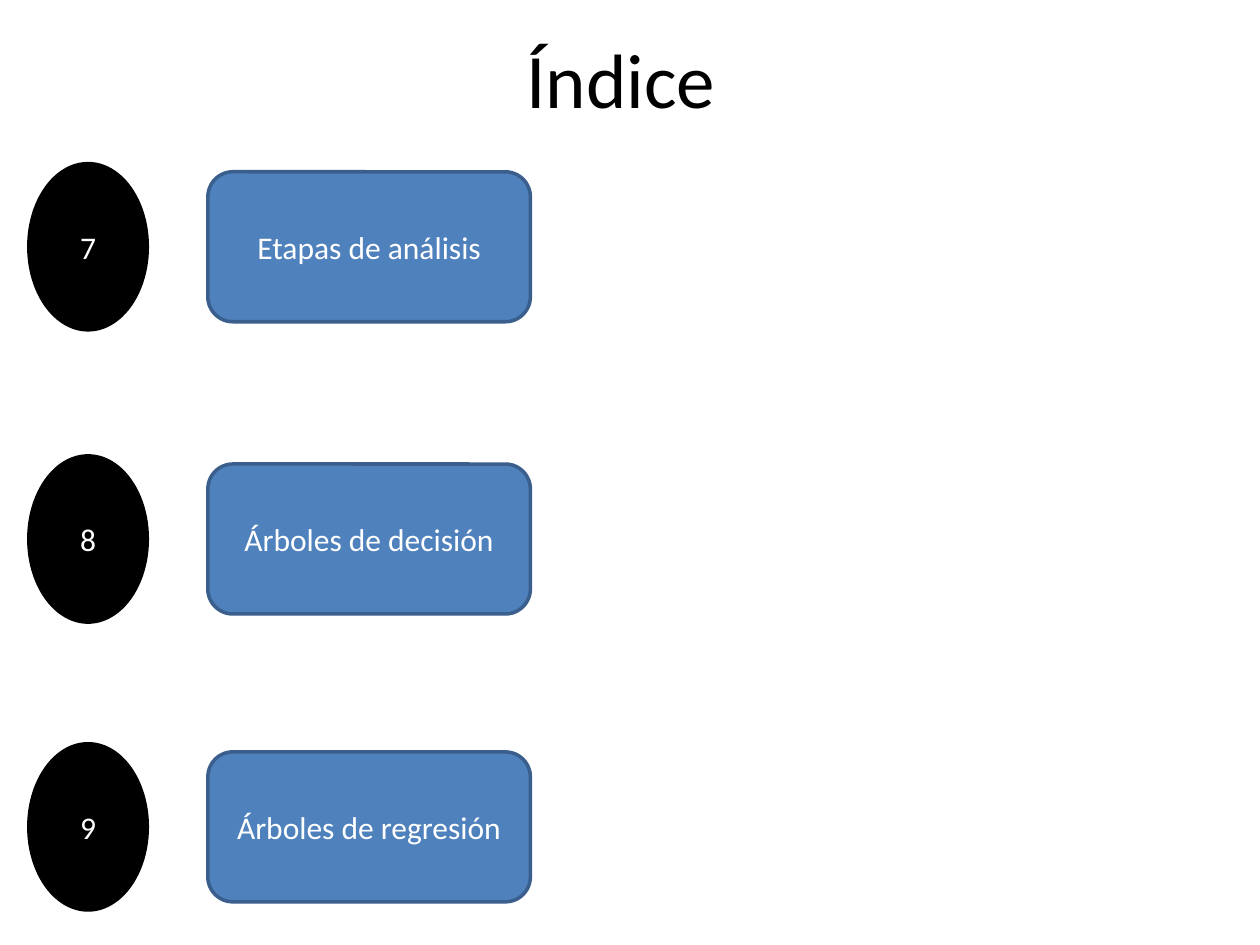
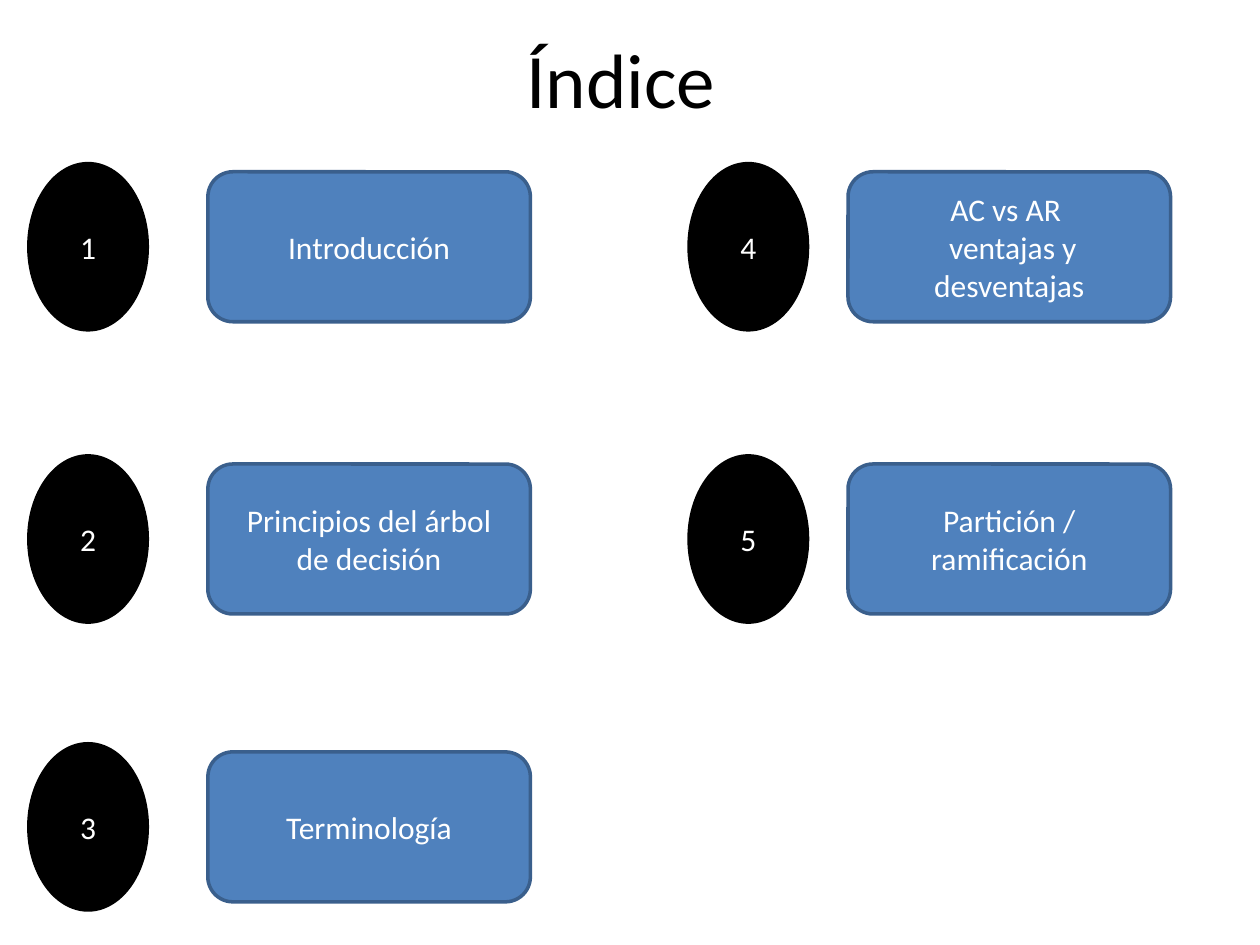
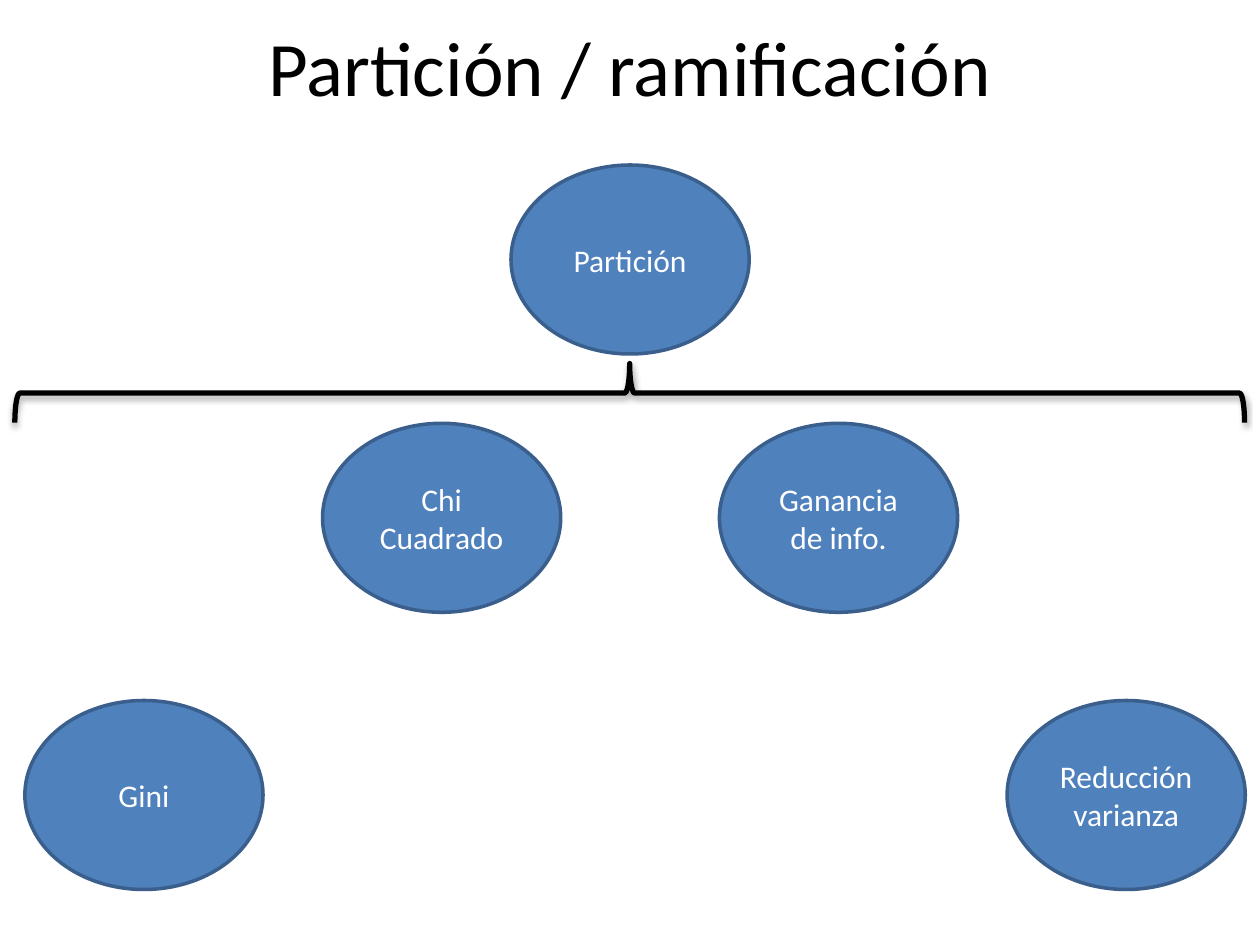
from lxml import etree
from pptx import Presentation
from pptx.dml.color import RGBColor
from pptx.enum import shapes, text
from pptx.oxml.ns import qn
from pptx.util import Pt

HUES = {"ink": "000000", "paper": "FFFFFF", "blue": "4F81BD", "edge": "3A5F8C"}
FONT = "Calibri"
FORM = shapes.MSO_SHAPE
ROWS = (141, 308, 472.5)
COLS = ((16.5, 118.8), (393.8, 484.6))
DOT = (67.7, 95)
CARD = (184.3, 85.7)
NODE = (136.1, 108)


def hue(name):
    return RGBColor.from_string(HUES[name])


def write(shape, words, size=18, color="paper"):
    frame = shape.text_frame
    frame.word_wrap = True
    frame.vertical_anchor = text.MSO_ANCHOR.MIDDLE
    para = frame.paragraphs[0]
    para.text = words
    para.alignment = text.PP_ALIGN.CENTER
    para.font.name = FONT
    para.font.size = Pt(size)
    para.font.color.rgb = hue(color)


def place(shape, box):
    shape.left, shape.top, shape.width, shape.height = map(Pt, box)


def draw(slide, form, box, words, fill="blue", edge="edge"):
    shape = slide.shapes.add_shape(form, *map(Pt, box))
    shape.shadow.inherit = False
    shape.fill.solid()
    shape.fill.fore_color.rgb = hue(fill)
    shape.line.color.rgb = hue(edge)
    shape.line.width = Pt(2)
    write(shape, words)


def start(deck, title, box):
    slide = deck.slides.add_slide(deck.slide_layouts[5])
    place(slide.shapes.title, box)
    write(slide.shapes.title, title, size=44, color="ink")
    return slide


def entry(slide, left, side, mid, number, words):
    draw(slide, FORM.OVAL, (left, mid - DOT[1] / 2, *DOT), str(number), "ink", "ink")
    draw(slide, FORM.ROUNDED_RECTANGLE, (side, mid - CARD[1] / 2, *CARD), words)


def index(deck, first, topics):
    slide = start(deck, "Índice", (50.4, 9.4, 609, 69.8))
    for i, words in enumerate(topics):
        col, row = divmod(i, len(ROWS))
        entry(slide, *COLS[col], ROWS[row], first + i, words)


def brace(slide, box):
    left, top, width, height = box
    shape = slide.shapes.add_shape(
        FORM.RIGHT_BRACE,
        Pt(left + (width - height) / 2),
        Pt(top + (height - width) / 2),
        Pt(height),
        Pt(width),
    )
    shape.rotation = 270
    shape.fill.background()
    shape.line.color.rgb = hue("ink")
    shape.line.width = Pt(3)
    shape.shadow.inherit = False
    glow = etree.SubElement(
        shape.element.spPr.find(qn("a:effectLst")),
        qn("a:outerShdw"),
        blurRad=str(Pt(3.1)),
        dist=str(Pt(1.8)),
        dir="5400000",
        rotWithShape="0",
    )
    tint = etree.SubElement(glow, qn("a:srgbClr"), val=HUES["ink"])
    etree.SubElement(tint, qn("a:alpha"), val="35000")


def split(deck):
    slide = start(deck, "Partición / ramificación", (0, 3.6, 720, 67.7))
    nodes = (
        (292, 94.3, "Partición"),
        (14.2, 400.3, "Gini"),
        (184.3, 241.9, "Chi Cuadrado"),
        (411.1, 241.9, "Ganancia de info."),
        (575.5, 400.3, "Reducción varianza"),
    )
    for left, top, words in nodes:
        draw(slide, FORM.OVAL, (left, top, *NODE), words)
    brace(slide, (8.5, 207.7, 702.7, 33.8))


def main():
    deck = Presentation()
    deck.slide_width, deck.slide_height = Pt(720), Pt(540)
    index(deck, 7, ("Etapas de análisis", "Árboles de decisión", "Árboles de regresión"))
    index(
        deck,
        1,
        (
            "Introducción",
            "Principios del árbol de decisión",
            "Terminología",
            "AC vs AR \v ventajas y desventajas",
            "Partición / ramificación",
        ),
    )
    split(deck)
    deck.save("out.pptx")


if __name__ == "__main__":
    main()
